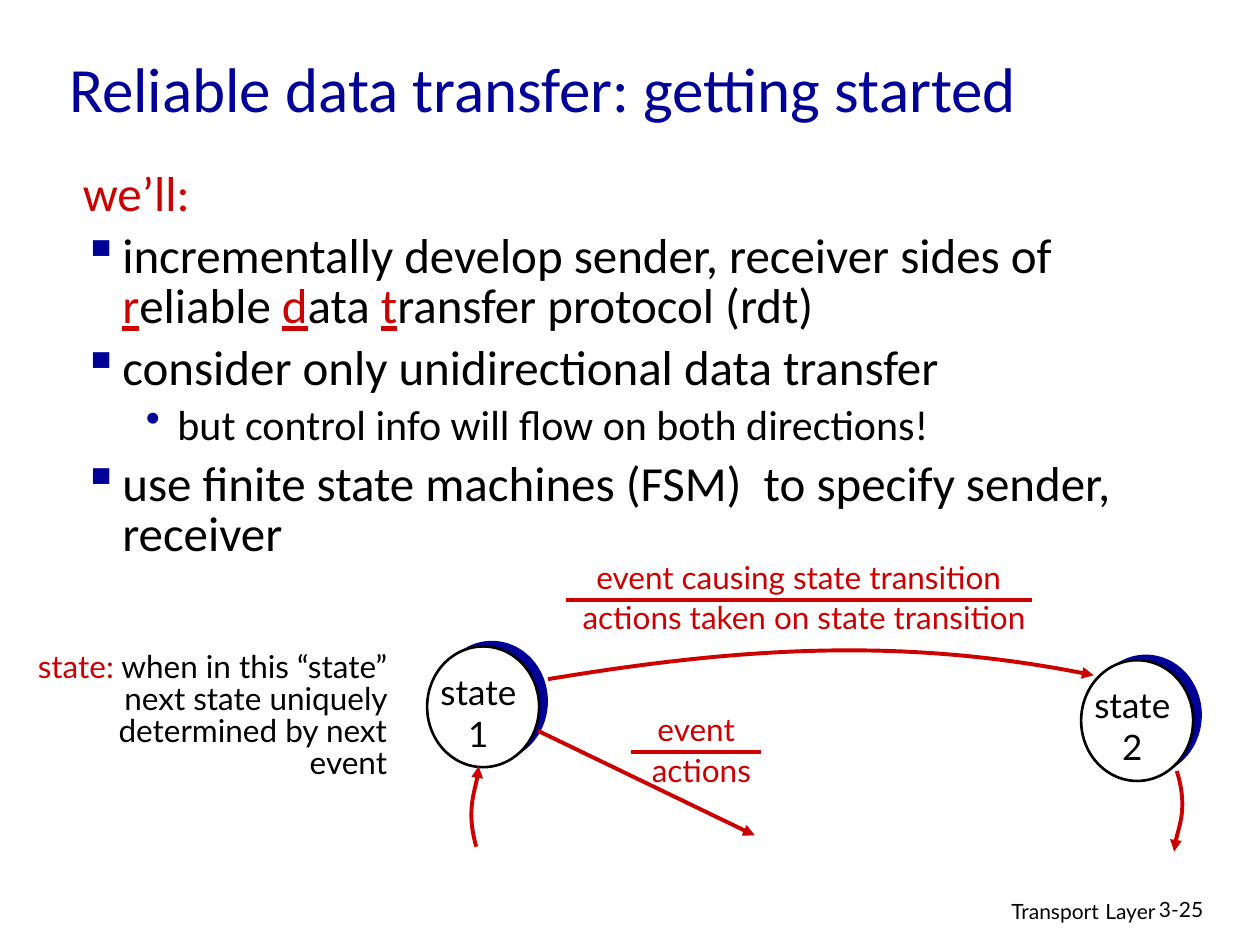
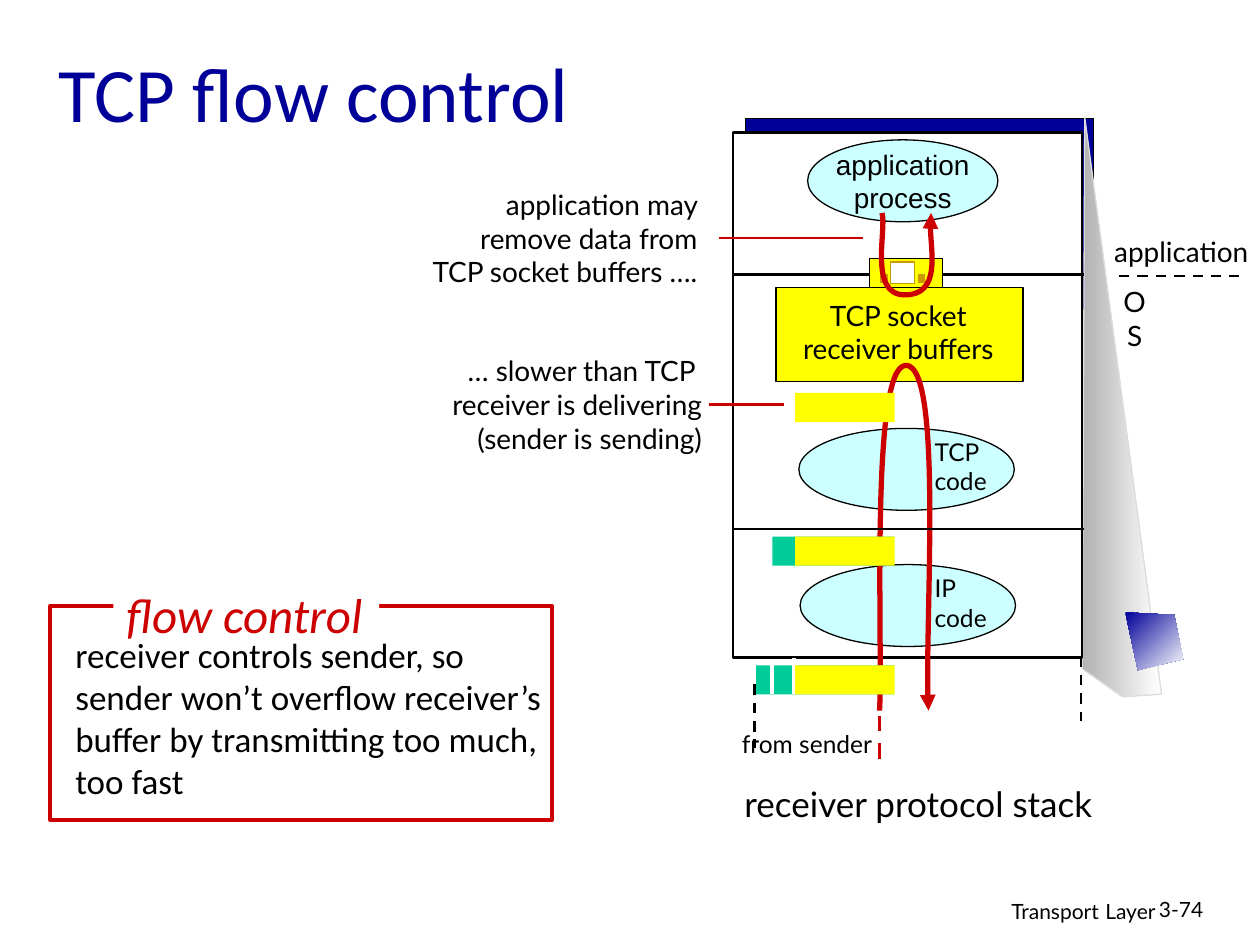
from dataclasses import dataclass
from typing import NamedTuple, Optional, Sequence, Union

import lxml.etree
import pptx
import pptx.dml.color
import pptx.enum.dml
import pptx.enum.shapes
import pptx.enum.text
import pptx.oxml.ns
import pptx.util

Pt = pptx.util.Pt
RGBColor = pptx.dml.color.RGBColor
Align = pptx.enum.text.PP_ALIGN
Anchor = pptx.enum.text.MSO_ANCHOR
Preset = pptx.enum.shapes.MSO_SHAPE
qn = pptx.oxml.ns.qn

NAVY = RGBColor(0x00, 0x00, 0x99)
RED = RGBColor(0xCC, 0x00, 0x00)
BLACK = RGBColor(0x00, 0x00, 0x00)
WHITE = RGBColor(0xFF, 0xFF, 0xFF)
CYAN = RGBColor(0xCC, 0xFF, 0xFF)
YELLOW = RGBColor(0xFF, 0xFF, 0x00)
TEAL = RGBColor(0x00, 0xCC, 0x99)
OCHRE = RGBColor(0xCC, 0x99, 0x00)
GREY = RGBColor(0xB2, 0xB2, 0xB2)
PALE_GREY = RGBColor(0xDD, 0xDD, 0xDD)

HEADING_FONT = "Calibri"
LABEL_FONT = "Lato"
SEGMENT_HEIGHT = 16.6


class Box(NamedTuple):
    left: float
    top: float
    width: float
    height: float

    def lengths(self) -> list:
        return [Pt(value) for value in self]


class Point(NamedTuple):
    x: float
    y: float


class Run(NamedTuple):
    text: str
    color: Optional[RGBColor] = None
    size: Optional[float] = None
    underline: bool = False


class Indent(NamedTuple):
    left: float
    hanging: float
    before: float = 0
    bullet: str = ""


@dataclass(frozen=True)
class Line:
    runs: Sequence[Run]
    indent: Optional[Indent] = None
    size: Optional[float] = None


@dataclass(frozen=True)
class Transition:
    event: str
    event_width: float
    actions: str
    actions_width: float
    center: float
    rule_y: float
    rule_width: float


@dataclass(frozen=True)
class State:
    name: str
    left: float
    top: float


@dataclass(frozen=True)
class Layer:
    name: str
    left: float
    top: float


HEAD_ITEM = Indent(22.5, -22.5)
MAIN_ITEM = Indent(22.5, -22.5, 7, "▪")
SUB_ITEM = Indent(54, -18, 6, "•")

STATES = [State("1", 244.1, 369.4), State("2", 617.8, 377.3)]
TRANSITIONS = [
    Transition("event causing state transition", 264.2,
               "actions taken on state transition", 286.6, 456.5, 342.7, 266.4),
    Transition("event", 61.2, "actions", 74.9, 397.8, 429.8, 74.2),
]
LAYERS = [Layer("TCP", 456.5, 244.8), Layer("IP", 457.2, 322.6)]


def write_text(frame, text: Union[str, Sequence[Line]], *, size: float, font: str = LABEL_FONT,
               color: RGBColor = BLACK, align=Align.LEFT, anchor=Anchor.TOP, wrap: bool = True,
               spacing: float = 1, italic: bool = False) -> None:
    frame.word_wrap = wrap
    frame.vertical_anchor = anchor
    lines = [Line([Run(part)]) for part in text.split("\n")] if isinstance(text, str) else text
    for index, line in enumerate(lines):
        paragraph = frame.paragraphs[0] if index == 0 else frame.add_paragraph()
        paragraph.alignment = align
        paragraph.line_spacing = spacing
        if line.indent:
            properties = paragraph._p.get_or_add_pPr()
            properties.set("marL", str(Pt(line.indent.left)))
            properties.set("indent", str(Pt(line.indent.hanging)))
            if line.indent.bullet:
                tint = lxml.etree.SubElement(properties, qn("a:buClr"))
                lxml.etree.SubElement(tint, qn("a:srgbClr"), val=str(NAVY))
                lxml.etree.SubElement(properties, qn("a:buChar"), char=line.indent.bullet)
            if index:
                paragraph.space_before = Pt(line.indent.before)
        for piece in line.runs:
            run = paragraph.add_run()
            run.text = piece.text
            run.font.name = font
            run.font.size = Pt(piece.size or line.size or size)
            run.font.color.rgb = piece.color or color
            run.font.italic = italic
            run.font.underline = piece.underline


def add_text(slide, box: Box, text: Union[str, Sequence[Line]], **text_format) -> None:
    frame = slide.shapes.add_textbox(*box.lengths()).text_frame
    write_text(frame, text, **text_format)
    if not frame.word_wrap:
        frame.auto_size = pptx.enum.text.MSO_AUTO_SIZE.SHAPE_TO_FIT_TEXT


def add_label(slide, box: Box, text: str, size: float, **text_format) -> None:
    add_text(slide, box, text, **{"size": size, "align": Align.CENTER, "wrap": False, **text_format})


def set_outline(shape, color: Optional[RGBColor], weight: float) -> None:
    if color is None:
        shape.line.fill.background()
    else:
        shape.line.color.rgb = color
        shape.line.width = Pt(weight)


def add_figure(slide, preset, box: Box, fill: RGBColor, outline: Optional[RGBColor] = None,
               weight: float = 0.75):
    figure = slide.shapes.add_shape(preset, *box.lengths())
    figure.shadow.inherit = False
    figure.fill.solid()
    figure.fill.fore_color.rgb = fill
    set_outline(figure, outline, weight)
    return figure


def add_arrowhead(line, end: str) -> None:
    lxml.etree.SubElement(line._get_or_add_ln(), qn(f"a:{end}End"), type="triangle")


def add_line(slide, start: Point, end: Point, color: RGBColor, weight: float,
             dashed: bool = False, arrow: bool = False) -> None:
    connector = slide.shapes.add_connector(
        pptx.enum.shapes.MSO_CONNECTOR.STRAIGHT, *[Pt(value) for value in (*start, *end)])
    connector.line.color.rgb = color
    connector.line.width = Pt(weight)
    if dashed:
        connector.line.dash_style = pptx.enum.dml.MSO_LINE.DASH
    if arrow:
        add_arrowhead(connector.line, "tail")
    lxml.etree.SubElement(connector._element.spPr, qn("a:effectLst"))


def add_outline(slide, points: Sequence[tuple], close: bool):
    start, *rest = [(Pt(x), Pt(y)) for x, y in points]
    builder = slide.shapes.build_freeform(*start)
    builder.add_line_segments(rest, close=close)
    outline = builder.convert_to_shape()
    outline.shadow.inherit = False
    return outline


def add_curve(slide, points: Sequence[tuple], weight: float = 2.25, arrow_end: str = "tail") -> None:
    curve = add_outline(slide, points, close=False)
    curve.fill.background()
    set_outline(curve, RED, weight)
    add_arrowhead(curve.line, arrow_end)
    segments = list(curve._element.iter(qn("a:lnTo")))
    for first in range(0, len(segments), 3):
        bezier = lxml.etree.Element(qn("a:cubicBezTo"))
        segments[first].addprevious(bezier)
        for segment in segments[first:first + 3]:
            bezier.append(segment[0])
            segment.getparent().remove(segment)


def add_gradient_face(slide, corners: Sequence[tuple], start: RGBColor, angle: float,
                      outline: Optional[RGBColor] = None) -> None:
    face = add_outline(slide, corners, close=True)
    face.fill.gradient()
    face.fill.gradient_angle = angle
    for stop, color in zip(face.fill.gradient_stops, (start, WHITE)):
        stop.color.rgb = color
    set_outline(face, outline, 0.75)


def add_page(deck, title: str, title_box: Box, title_size: float, number: str):
    slide = deck.slides.add_slide(deck.slide_layouts[6])
    footer = [Line([Run("Transport"), Run(" ", size=14), Run("Layer")])]
    add_text(slide, Box(439.2, 507.6, 228.2, 22.3), footer, size=12, align=Align.RIGHT)
    add_text(slide, Box(655.2, 509, 53.3, 21.6), number, size=12)
    add_text(slide, title_box, title, size=title_size, font=HEADING_FONT, color=NAVY,
             anchor=Anchor.MIDDLE)
    return slide


def add_state(slide, state: State) -> None:
    add_figure(slide, Preset.OVAL, Box(state.left + 5, state.top - 3.2, 64, 69), NAVY)
    add_figure(slide, Preset.OVAL, Box(state.left, state.top, 64, 69), WHITE, BLACK, 1.5)
    add_label(slide, Box(state.left - 1, state.top + 10, 60.5, 55.4), f"state\n{state.name}", 20)


def add_transition(slide, item: Transition) -> None:
    rows = [(item.event, item.event_width, item.center, -27.6),
            (item.actions, item.actions_width, item.center + 3, -4.3)]
    for text, width, center, rise in rows:
        add_label(slide, Box(center - width / 2, item.rule_y + rise, width, 28.8), text, 18, color=RED)
    half = item.rule_width / 2
    add_line(slide, Point(item.center - half, item.rule_y), Point(item.center + half, item.rule_y),
             RED, 2.25)


def build_getting_started(deck) -> None:
    slide = add_page(deck, "Reliable data transfer: getting started",
                     Box(32.4, 15.1, 612, 69.8), 36, "3-25")
    goals = [
        Line([Run("we’ll:", RED)], HEAD_ITEM),
        Line([Run("incrementally develop sender, receiver sides of "),
              Run("r", RED, underline=True), Run("eliable "),
              Run("d", RED, underline=True), Run("ata "),
              Run("t", RED, underline=True), Run("ransfer protocol (rdt)")], MAIN_ITEM),
        Line([Run("consider only unidirectional data transfer")], MAIN_ITEM),
        Line([Run("but control info will flow on both directions!")], SUB_ITEM, 24),
        Line([Run("use finite state machines (FSM)  to specify sender, receiver")], MAIN_ITEM),
    ]
    add_text(slide, Box(40.3, 94.3, 625.7, 264.2), goals, size=28, font=HEADING_FONT, spacing=0.85)
    for state in STATES:
        add_state(slide, state)
    for transition in TRANSITIONS:
        add_transition(slide, transition)
    definition = [Line([Run("state:", RED), Run(" when in this “state” next state uniquely "
                                                "determined by next event")], Indent(27, -27))]
    add_text(slide, Box(10.1, 369.4, 218.2, 97.2), definition, size=18, align=Align.RIGHT, spacing=0.85)
    add_curve(slide, [(313.2, 388.1), (429.8, 368.6), (522.7, 365), (625, 385.9)])
    add_curve(slide, [(272.2, 483.8), (266.4, 463.7), (273.6, 445), (273.6, 437.8)])
    add_curve(slide, [(672.5, 440.6), (679, 461.5), (671, 479.5), (671, 486.7)])
    add_line(slide, Point(307.4, 417.6), Point(431.3, 477.4), RED, 2.25, arrow=True)


def add_receiver_stack(slide) -> None:
    add_figure(slide, Preset.RECTANGLE, Box(426.2, 67.7, 198.7, 303.8), NAVY, BLACK)
    add_gradient_face(slide, [(663.8, 396.7), (619.9, 67), (618.5, 382.3), (641.5, 398.2)],
                      GREY, 0, PALE_GREY)
    add_figure(slide, Preset.RECTANGLE, Box(419, 75.6, 199.4, 300.2), WHITE, BLACK, 1.5)
    process = add_figure(slide, Preset.OVAL, Box(461.5, 79.9, 108.7, 46.8), CYAN, BLACK)
    write_text(process.text_frame, "application\nprocess", size=16, font="Arial",
               align=Align.CENTER, anchor=Anchor.MIDDLE, wrap=False)
    add_figure(slide, Preset.RECTANGLE, Box(443.5, 164.2, 141.1, 54), YELLOW, BLACK)
    add_label(slide, Box(447.1, 167, 132.5, 46.1), "TCP socket\nreceiver buffers", 16)
    for layer in LAYERS:
        add_figure(slide, Preset.OVAL, Box(layer.left, layer.top, 123.1, 46.8), CYAN, BLACK)
        add_label(slide, Box(527, layer.top + 1.4, 46.1, 41), f"{layer.name}\ncode", 14,
                  align=Align.LEFT)
    add_curve(slide, [(502.6, 406.1), (504.7, 373), (496.8, 208.8), (517.7, 208.8),
                      (538.6, 208.8), (527.8, 365), (530.6, 406.1)], 3)
    for boundary_y in (302.4, 157):
        add_line(slide, Point(419.4, boundary_y), Point(619.5, boundary_y), BLACK, 1.5)
    add_figure(slide, Preset.RECTANGLE, Box(496.8, 147.6, 41.8, 16.6), YELLOW, BLACK)
    add_figure(slide, Preset.RECTANGLE, Box(509, 149.8, 13.7, 12.2), WHITE, OCHRE)
    for pin_left in (524.9, 503.3):
        add_figure(slide, Preset.RECTANGLE, Box(pin_left, 157, 3.6, 4.3), OCHRE, OCHRE)
    add_curve(slide, [(532.1, 121.7), (529.9, 129.6), (537.8, 168.5), (517, 168.5),
                      (496.1, 168.5), (506.9, 131), (504, 121.7)], 3, "head")


def add_segments(slide) -> None:
    for header_left, top in ((432, 380.2), (441.4, 306.7)):
        add_figure(slide, Preset.RECTANGLE, Box(header_left, top, 511 - header_left, SEGMENT_HEIGHT), TEAL)
    for divider_x, top in ((441.4, 380.2), (453.6, 380.2), (453.6, 375.8)):
        add_line(slide, Point(divider_x, top), Point(divider_x, top + SEGMENT_HEIGHT), WHITE, 2.25)
    for top in (224.6, 306.7, 380.2):
        add_figure(slide, Preset.RECTANGLE, Box(454.3, top, 57, SEGMENT_HEIGHT), YELLOW)


def build_flow_control(deck) -> None:
    slide = add_page(deck, "TCP flow control", Box(26.6, 13.7, 612, 77), 44, "3-74")
    add_receiver_stack(slide)
    add_segments(slide)
    add_label(slide, Box(626.4, 130.3, 97.2, 26.6), "application", 16)
    add_label(slide, Box(633.4, 159.1, 30, 26.6), "OS", 16, wrap=True)
    add_label(slide, Box(411.1, 443.5, 227.5, 31.7), "receiver protocol stack", 20)
    add_label(slide, Box(413.3, 413.3, 95.8, 24.5), "from sender", 14)
    add_text(slide, Box(158.4, 103.7, 251.3, 64.8),
             "application may \nremove data from \nTCP socket buffers …. ", size=16, align=Align.RIGHT)
    add_text(slide, Box(244.1, 198.7, 164.2, 84.2),
             "… slower than TCP \nreceiver is delivering\n(sender is sending)", size=16, align=Align.RIGHT)
    add_line(slide, Point(411.1, 136.1), Point(493.2, 136.1), RED, 1.5)
    add_line(slide, Point(405.4, 231.1), Point(447.8, 231.1), RED, 1.5)
    add_line(slide, Point(502.6, 409), Point(502.6, 436.3), RED, 2.25, dashed=True)
    add_line(slide, Point(639.4, 157.7), Point(707.8, 157.7), BLACK, 1.5, dashed=True)
    for wire_x, top in ((431.3, 391), (617.8, 375.1)):
        add_line(slide, Point(wire_x, top), Point(wire_x, top + 36.7), BLACK, 1.5, dashed=True)
    add_figure(slide, Preset.RECTANGLE, Box(28.8, 346.3, 286.6, 122.4), WHITE, RED, 2.25)
    add_text(slide, Box(36, 358.6, 283, 127.4),
             "receiver controls sender, so sender won’t overflow receiver’s buffer by transmitting "
             "too much, too fast", size=20, font=HEADING_FONT)
    add_figure(slide, Preset.RECTANGLE, Box(64.8, 337.7, 151.9, 28), WHITE)
    add_label(slide, Box(59, 330.5, 161.3, 41), "flow control", 28, font=HEADING_FONT, color=RED,
              italic=True)
    add_gradient_face(slide, [(643, 349.9), (671, 351.4), (676.1, 376.6), (650.2, 383)], NAVY, 315)


def main() -> None:
    deck = pptx.Presentation()
    deck.slide_width, deck.slide_height = Pt(720), Pt(540)
    build_getting_started(deck)
    build_flow_control(deck)
    deck.save("out.pptx")


if __name__ == "__main__":
    main()
